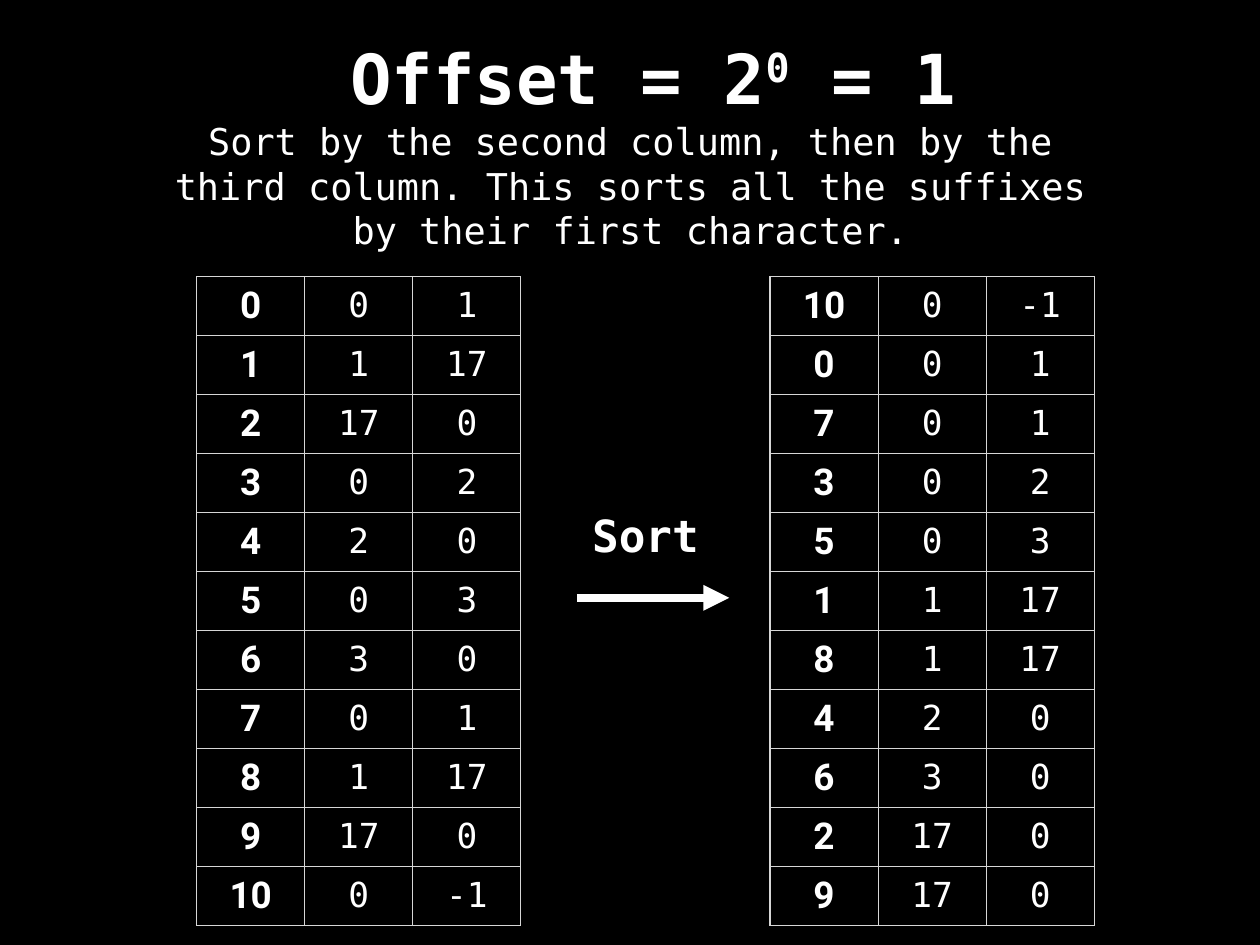
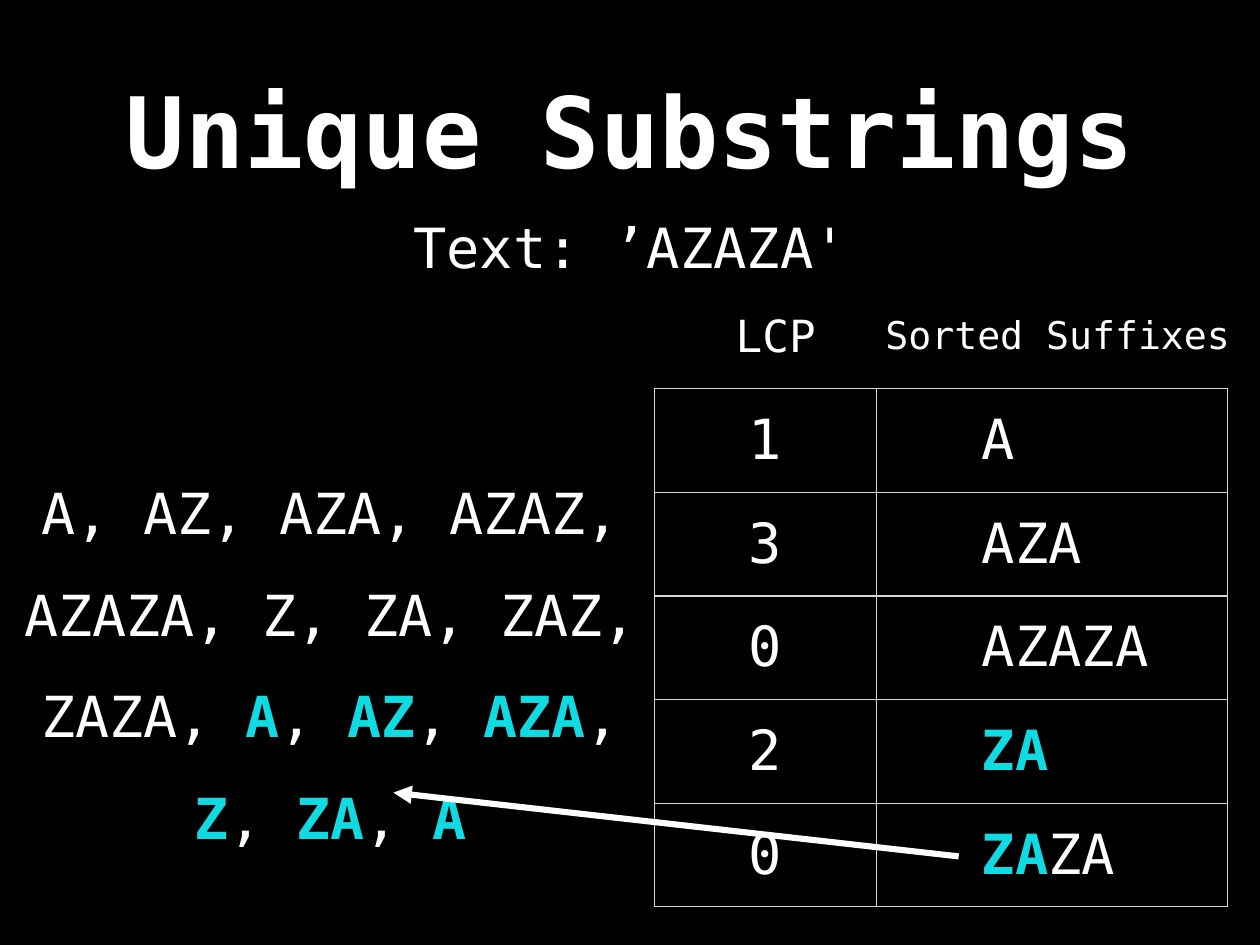
import pptx
import pptx.dml.color
import pptx.enum.shapes
import pptx.enum.text
import pptx.oxml.ns
import pptx.util
from lxml import etree
from pptx.util import Inches

COLORS = {"bg": "000000", "text": "FFFFFF", "accent": "11DBE2", "grid": "D6D6D6"}
MONO = "DejaVu Sans Mono"
INSET = Inches(0.06)
FRAME = {
    "margin_left": INSET, "margin_right": INSET,
    "margin_top": INSET, "margin_bottom": INSET,
    "vertical_anchor": pptx.enum.text.MSO_ANCHOR.MIDDLE,
}
CENTER = pptx.enum.text.PP_ALIGN.CENTER
LEFT = pptx.enum.text.PP_ALIGN.LEFT
ACCENT = {"color": "accent", "bold": True}
SUPERSCRIPT = {"baseline": 32000}

RANKS = [0, 1, 17, 0, 2, 0, 3, 0, 1, 17, 0]
LCP_ROWS = [("1", "A"), ("3", "AZA"), ("0", "AZAZA"), ("2", "*ZA*"), ("0", "*ZA*ZA")]


def rgb(name):
    return pptx.dml.color.RGBColor.from_string(COLORS[name])


def sub(parent, tag, **attrs):
    return etree.SubElement(parent, pptx.oxml.ns.qn(tag), attrs)


def set_attrs(obj, values):
    for name, value in values.items():
        setattr(obj, name, value)


def write(p, text, size, align=CENTER, mark=ACCENT, font=MONO, bold=False):
    p.alignment = align
    for i, part in enumerate(text.split("*")):
        if not part:
            continue
        style = {"color": "text", "bold": bold, **(mark if i % 2 else {})}
        r = p.add_run()
        r.text = part
        set_attrs(r.font, {"name": font, "size": pptx.util.Pt(size), "bold": style["bold"]})
        r.font.color.rgb = rgb(style["color"])
        if "baseline" in style:
            r._r.get_or_add_rPr().set("baseline", str(style["baseline"]))


def add_text(s, box, text, size, wrap=True, spacing=None, **style):
    tf = s.shapes.add_textbox(*map(Inches, box)).text_frame
    set_attrs(tf, {**FRAME, "word_wrap": wrap})
    p = tf.paragraphs[0]
    p.line_spacing = spacing
    write(p, text, size, **style)


def add_arrow(s, start, end, width):
    kind = pptx.enum.shapes.MSO_CONNECTOR.STRAIGHT
    sp = s.shapes.add_connector(kind, *map(Inches, start + end))
    sp.line.color.rgb = rgb("text")
    sp.line.width = pptx.util.Pt(width)
    sub(sp.line._get_or_add_ln(), "a:tailEnd", type="triangle")
    sub(sp._element.spPr, "a:effectLst")


def outline(cell):
    cell.fill.background()
    tcPr = cell._tc.get_or_add_tcPr()
    for i, side in enumerate("LRTB"):
        ln = sub(tcPr, "a:ln" + side, w=str(pptx.util.Pt(1)))
        sub(sub(ln, "a:solidFill"), "a:srgbClr", val=COLORS["grid"])
        tcPr.insert(i, ln)


def add_grid(s, box, rows, styles, widths=None, indents=None):
    table = s.shapes.add_table(len(rows), len(styles), *map(Inches, box)).table
    set_attrs(table, {"first_row": False, "horz_banding": False})
    for col, width in zip(table.columns, widths or []):
        col.width = Inches(width)
    for i, row in enumerate(rows):
        for j, value in enumerate(row):
            cell = table.cell(i, j)
            set_attrs(cell, FRAME)
            if indents:
                cell.margin_left = Inches(indents[j])
            outline(cell)
            write(cell.text_frame.paragraphs[0], str(value), **styles[j])


def add_slide(prs):
    s = prs.slides.add_slide(prs.slide_layouts[6])
    s.background.fill.solid()
    s.background.fill.fore_color.rgb = rgb("bg")
    return s


def offset_slide(prs):
    s = add_slide(prs)
    add_text(s, (2.36, 0.36, 10.02, 1.01), "Offset = 2*0* = 1", 56, bold=True, mark=SUPERSCRIPT)
    add_text(s, (1.6, 1.31, 11.03, 1.57),
             "Sort by the second column, then by the third column. "
             "This sorts all the suffixes by their first character.", 30)
    rows = list(zip(range(len(RANKS)), RANKS, RANKS[1:] + [-1]))
    rank = {"size": 28}
    styles = [{"size": 30, "font": "Roboto", "bold": True}, rank, rank]
    for left, order in ((2.22, rows), (8.69, sorted(rows, key=lambda row: row[1:]))):
        add_grid(s, (left, 3.12, 3.66, 7.33), order, styles)
    add_arrow(s, (6.51, 6.75), (8.23, 6.75), 7)
    add_text(s, (6.62, 5.7, 1.33, 0.68), "Sort", 36, wrap=False, bold=True)


def substrings_slide(prs):
    s = add_slide(prs)
    add_text(s, (1.04, 0.28, 12.14, 2.36), "Unique Substrings", 80, bold=True)
    add_grid(s, (7.39, 4.39, 6.46, 5.85), LCP_ROWS,
             [{"size": 45}, {"size": 45, "align": LEFT}],
             widths=(2.5, 3.96), indents=(0.06, 1.19))
    for box, text, size in (
        ((9.93, 3.47, 4.01, 0.61), "Sorted Suffixes", 31),
        ((8.24, 3.44, 1.03, 0.68), "LCP", 36),
        ((4.6, 2.36, 5.02, 0.85), "Text: ’AZAZA'", 45),
    ):
        add_text(s, box, text, size, wrap=False)
    add_text(s, (0.1, 5.19, 7.26, 4.24),
             "A, AZ, AZA, AZAZ, AZAZA, Z, ZA, ZAZ, ZAZA, "
             "*A*, *AZ*, *AZA*, *Z*, *ZA*, *A*", 46, spacing=1.5)
    add_arrow(s, (10.82, 9.67), (4.44, 8.95), 5)


def main():
    prs = pptx.Presentation()
    set_attrs(prs, {"slide_width": Inches(14.22), "slide_height": Inches(10.67)})
    offset_slide(prs)
    substrings_slide(prs)
    prs.save("out.pptx")


if __name__ == "__main__":
    main()
